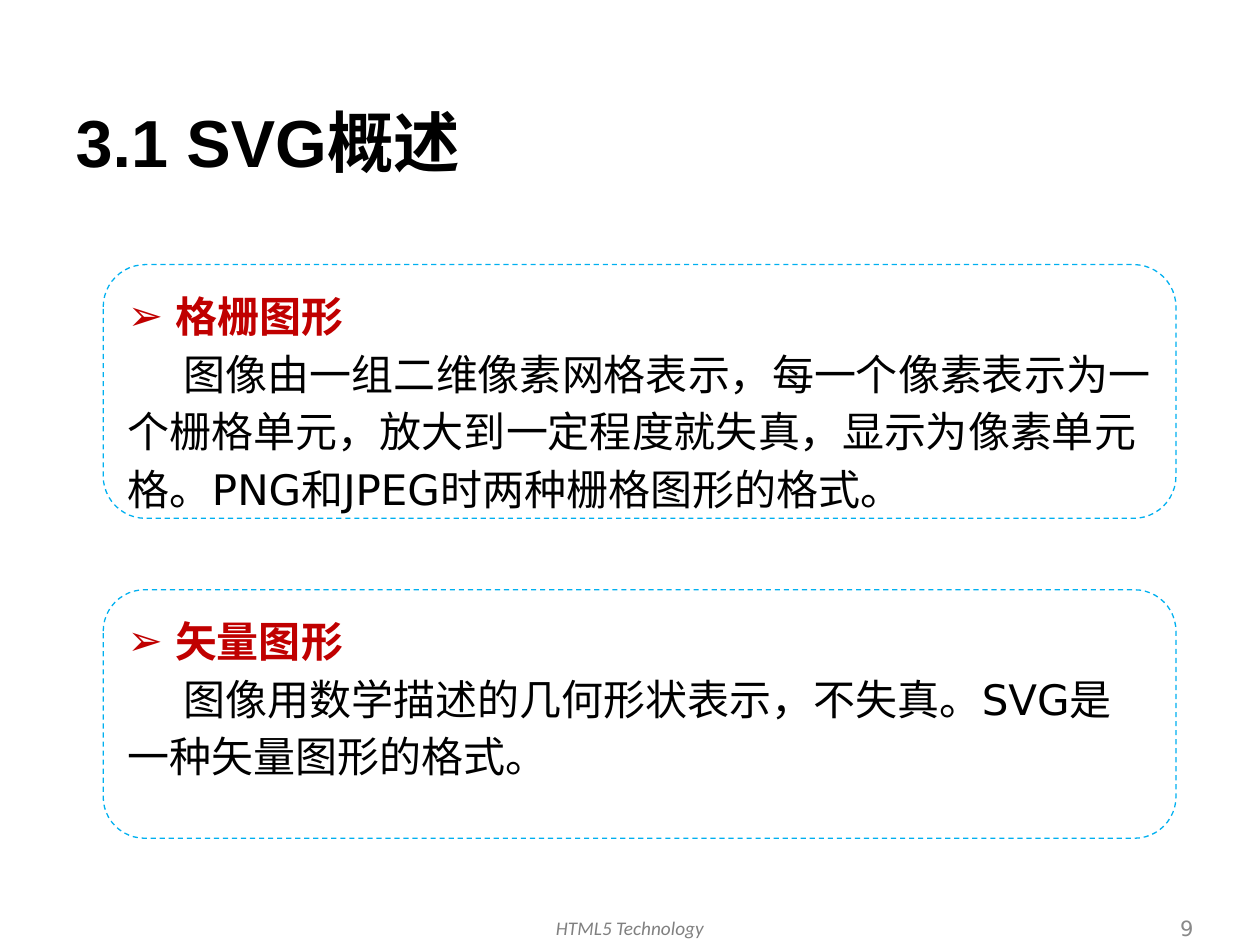
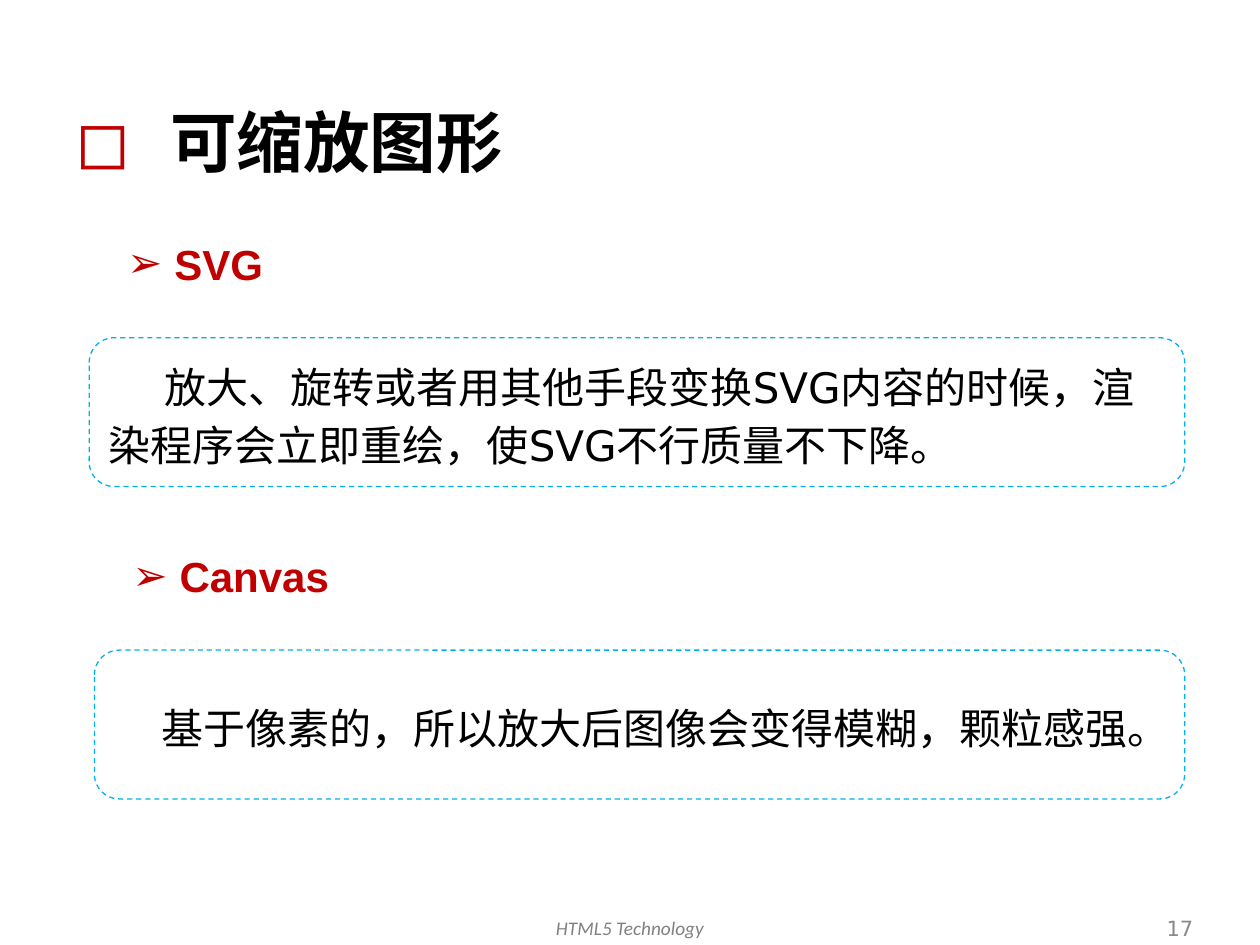
from lxml.etree import SubElement
from pptx import Presentation
from pptx.dml.color import RGBColor
from pptx.enum.dml import MSO_LINE
from pptx.enum.lang import MSO_LANGUAGE_ID
from pptx.enum.shapes import MSO_SHAPE
from pptx.enum.text import MSO_ANCHOR, MSO_AUTO_SIZE, PP_ALIGN
from pptx.oxml.ns import qn
from pptx.util import Pt

BLACK = RGBColor(0x00, 0x00, 0x00)
RED = RGBColor(0xC0, 0x00, 0x00)
SKY = RGBColor(0x00, 0xB0, 0xF0)
FOOTER_GREY = RGBColor(0x80, 0x80, 0x80)
NUMBER_GREY = RGBColor(0x89, 0x89, 0x89)

HEAD_FONT, BODY_FONT, FOOTER_FONT = "Arial", "DejaVu Sans", "Calibri"
LINE_PITCH = 33
BULLET_HANG = 27
FIRST_LINE = 32
ARROW, SQUARE = "➢", "◻"


def write(p, text, font=BODY_FONT, size=24, color=BLACK, bold=False, italic=False,
          align=PP_ALIGN.LEFT, pitch=None, left=0, indent=0, bullet=None):
    """Fill a paragraph; left, indent and pitch are in points."""
    p.alignment = align
    if pitch:
        p.line_spacing = Pt(pitch)
    pPr = p._p.get_or_add_pPr()
    pPr.set("marL", str(Pt(left)))
    pPr.set("indent", str(Pt(indent)))
    if bullet:
        clr = SubElement(pPr, qn("a:buClr"))
        SubElement(clr, qn("a:srgbClr"), val=str(RED))
        SubElement(pPr, qn("a:buFont"), typeface=BODY_FONT)
        SubElement(pPr, qn("a:buChar"), char=bullet)
    r = p.add_run()
    r.text = text
    f = r.font
    f.name, f.size, f.bold, f.italic = font, Pt(size), bold, italic
    f.color.rgb = color
    f.language_id = MSO_LANGUAGE_ID.SIMPLIFIED_CHINESE


class Deck:
    def __init__(self):
        self.prs = Presentation()
        self.prs.slide_width, self.prs.slide_height = Pt(720), Pt(540)
        self.s = None

    def slide(self, title, number, **title_format):
        self.s = self.prs.slides.add_slide(self.prs.slide_layouts[5])
        sp = self.s.shapes.title
        sp.left, sp.top, sp.width, sp.height = Pt(36), Pt(59.5), Pt(630), Pt(70.5)
        tf = sp.text_frame
        tf.auto_size = MSO_AUTO_SIZE.NONE
        tf.vertical_anchor = MSO_ANCHOR.TOP
        p = tf.paragraphs[0]
        p.line_spacing = 0.9
        write(p, title, font=HEAD_FONT, size=38, bold=True, **title_format)
        self.text(232, 520, 256, 24, "HTML5 Technology", font=FOOTER_FONT, size=11,
                  color=FOOTER_GREY, italic=True, align=PP_ALIGN.CENTER)
        self.text(527, 520, 162, 21, str(number), anchor=MSO_ANCHOR.MIDDLE, size=12,
                  color=NUMBER_GREY, align=PP_ALIGN.RIGHT)

    def text(self, x, y, w, h, text, anchor=MSO_ANCHOR.TOP, wrap=True, **fmt):
        tf = self.s.shapes.add_textbox(Pt(x), Pt(y), Pt(w), Pt(h)).text_frame
        tf.word_wrap, tf.vertical_anchor = wrap, anchor
        write(tf.paragraphs[0], text, **fmt)

    def label(self, x, y, w, text):
        self.text(x, y, w, 36, text, wrap=False, font=HEAD_FONT, color=RED, bold=True,
                  left=BULLET_HANG, indent=-BULLET_HANG, bullet=ARROW)

    def panel(self, x, y, w, h, body, heading=None, first_line=FIRST_LINE):
        """Dashed rounded box; its text is centred vertically unless it has a heading."""
        sp = self.s.shapes.add_shape(MSO_SHAPE.ROUNDED_RECTANGLE, Pt(x), Pt(y), Pt(w), Pt(h))
        sp.shadow.inherit = False
        sp.fill.background()
        sp.line.color.rgb = SKY
        sp.line.width = Pt(0.75)
        sp.line.dash_style = MSO_LINE.DASH
        tf = sp.text_frame
        tf.word_wrap = True
        tf.vertical_anchor = MSO_ANCHOR.TOP if heading else MSO_ANCHOR.MIDDLE
        p = tf.paragraphs[0]
        if heading:
            write(p, heading, color=RED, bold=True, pitch=LINE_PITCH,
                  left=BULLET_HANG, indent=-BULLET_HANG, bullet=ARROW)
            p = tf.add_paragraph()
        write(p, body, pitch=LINE_PITCH, indent=first_line)


def main():
    deck = Deck()

    deck.slide("3.1 SVG概述", 9)
    deck.panel(59, 151.2, 613, 145,
               "图像由一组二维像素网格表示，每一个像素表示为一个栅格单元，放大到一定程度就失真，"
               "显示为像素单元格。PNG和JPEG时两种栅格图形的格式。", heading="格栅图形")
    deck.panel(59, 337, 613, 142,
               "图像用数学描述的几何形状表示，不失真。SVG是一种矢量图形的格式。", heading="矢量图形")

    deck.slide("可缩放图形", 17, left=54, indent=-54, bullet=SQUARE)
    deck.label(65.5, 132.5, 93, "SVG")
    deck.panel(51, 193, 626, 85,
               "放大、旋转或者用其他手段变换SVG内容的时候，渲染程序会立即重绘，使SVG不行质量不下降。")
    deck.label(68.5, 311, 128, "Canvas")
    deck.panel(54, 371.5, 623, 85,
               "基于像素的，所以放大后图像会变得模糊，颗粒感强。", first_line=27)

    deck.prs.save("out.pptx")


if __name__ == "__main__":
    main()
